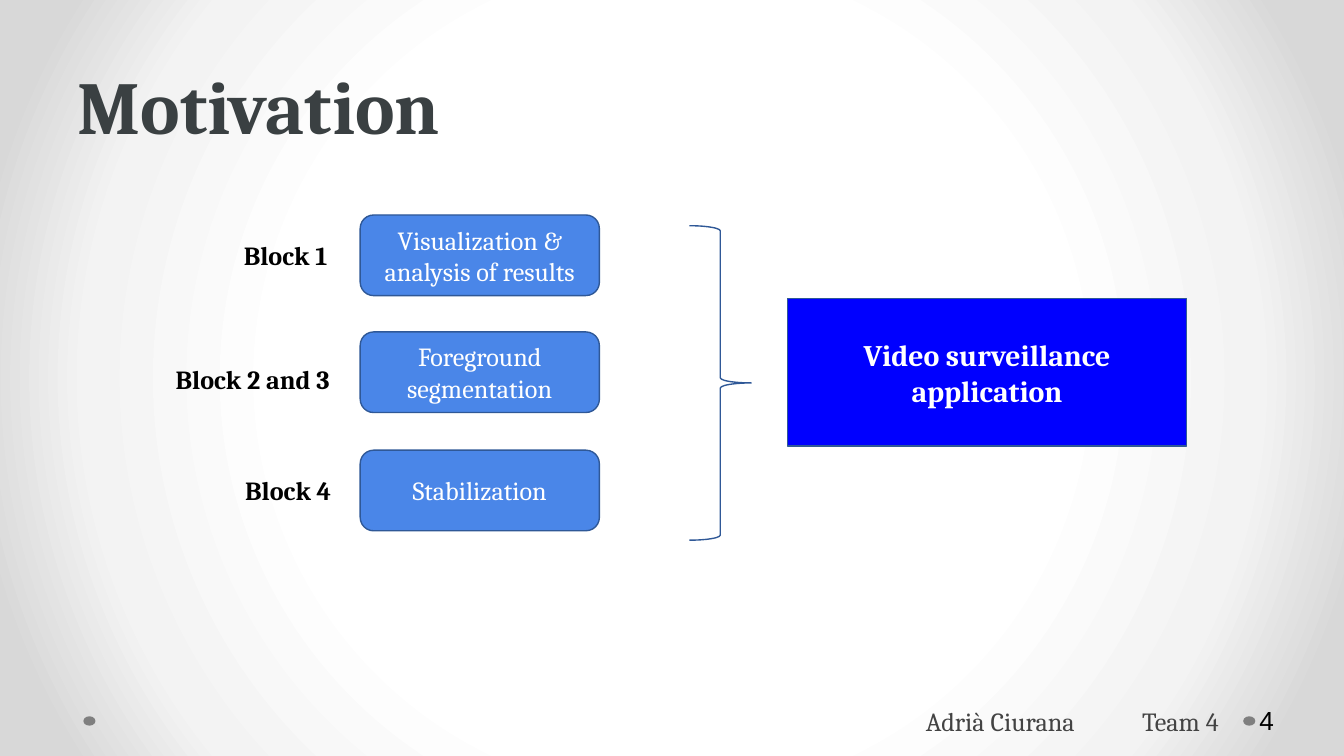
from lxml.etree import SubElement
from pptx import Presentation
from pptx.dml.color import RGBColor
from pptx.enum.shapes import MSO_SHAPE
from pptx.enum.text import MSO_ANCHOR, MSO_AUTO_SIZE, PP_ALIGN
from pptx.oxml.ns import qn
from pptx.util import Inches, Pt

BACKGROUND_STOPS = [(0, "FFFFFF"), (50, "FFFFFF"), (76, "F3F3F3"), (92, "D8D8D8"), (100, "D8D8D8")]
BLOCKS = [
    ("Block 1", (1.57, 1.75, 1.11, 0.3), "Visualization & analysis of results", 1.6),
    ("Block 2 and 3", (0.99, 2.67, 1.78, 0.3), "Foreground segmentation", 2.47),
    ("Block 4", (1.71, 3.5, 0.87, 0.3), "Stabilization", 3.35),
]


def color(hex_value):
    """Turn a hex string into a colour."""
    return RGBColor.from_string(hex_value)


def write_text(shape, text, size=14, font="Cambria", fill="000000", bold=False,
               align=PP_ALIGN.LEFT, anchor=MSO_ANCHOR.MIDDLE,
               insets=(0.1, 0.1, 0.1, 0.1), line_spacing=None):
    """Write one formatted paragraph into a shape."""
    frame = shape.text_frame
    frame.text = text
    frame.word_wrap = True
    frame.auto_size = MSO_AUTO_SIZE.NONE
    frame.vertical_anchor = anchor
    frame.margin_left, frame.margin_top, frame.margin_right, frame.margin_bottom = map(Inches, insets)
    paragraph = frame.paragraphs[0]
    paragraph.alignment = align
    paragraph.line_spacing = line_spacing
    run_font = paragraph.runs[0].font
    run_font.name, run_font.size, run_font.bold = font, Pt(size), bold
    run_font.color.rgb = color(fill)


class SlideBuilder:
    """Hold the style and the current slide."""

    line_color = "2F5897"
    line_width = 0.75

    def __init__(self, slide):
        """Keep the slide that receives the elements."""
        self.slide = slide

    def background(self, stops):
        """Paint a circular gradient from the slide centre."""
        fill = self.slide.background.fill
        fill.solid()
        properties = self.slide.element.find(".//" + qn("p:bgPr"))
        properties.remove(properties.find(qn("a:solidFill")))
        gradient = properties.makeelement(qn("a:gradFill"), {"rotWithShape": "1"})
        properties.insert(0, gradient)
        stop_list = SubElement(gradient, qn("a:gsLst"))
        for position, hex_value in stops:
            stop = SubElement(stop_list, qn("a:gs"), pos=str(position * 1000))
            SubElement(stop, qn("a:srgbClr"), val=hex_value)
        circle = SubElement(gradient, qn("a:path"), path="circle")
        SubElement(circle, qn("a:fillToRect"), l="50000", t="50000", r="50000", b="50000")

    def title(self, text, box, **text_format):
        """Place and format the title placeholder."""
        title = self.slide.shapes.title
        title.left, title.top, title.width, title.height = map(Inches, box)
        write_text(title, text, **text_format)

    def text(self, text, box, **text_format):
        """Add a text box."""
        write_text(self.slide.shapes.add_textbox(*map(Inches, box)), text, **text_format)

    def shape(self, kind, box, fill=None, outlined=True):
        """Add a preset shape in the slide style."""
        shape = self.slide.shapes.add_shape(kind, *map(Inches, box))
        shape.shadow.inherit = False
        if fill:
            shape.fill.solid()
            shape.fill.fore_color.rgb = color(fill)
        else:
            shape.fill.background()
        if outlined:
            shape.line.color.rgb = color(self.line_color)
            shape.line.width = Pt(self.line_width)
        else:
            shape.line.fill.background()
        return shape


def main():
    """Build the motivation slide."""
    presentation = Presentation()
    presentation.slide_width = Inches(10)
    presentation.slide_height = presentation.slide_width * 9 // 16
    builder = SlideBuilder(presentation.slides.add_slide(presentation.slide_layouts[5]))
    builder.background(BACKGROUND_STOPS)

    for dot_left in (9.25, 0.62):
        builder.shape(MSO_SHAPE.OVAL, (dot_left, 5.33, 0.09, 0.07), "7F7F7F", outlined=False)
    builder.title("Motivation", (0.48, 0.6, 7.71, 0.56), size=40, fill="3A4042", bold=True,
                  anchor=MSO_ANCHOR.BOTTOM, insets=(0.1, 0.05, 0.1, 0.05), line_spacing=1.45)

    for label, label_box, task, block_top in BLOCKS:
        block = builder.shape(MSO_SHAPE.ROUNDED_RECTANGLE, (2.68, block_top, 1.78, 0.6), "4A86E8")
        write_text(block, task, fill="FFFFFF", align=PP_ALIGN.CENTER)
        builder.text(label, label_box, bold=True, align=PP_ALIGN.CENTER)

    builder.shape(MSO_SHAPE.RIGHT_BRACE, (5.13, 1.68, 0.46, 2.34))
    application = builder.shape(MSO_SHAPE.RECTANGLE, (5.86, 2.22, 2.97, 1.1), "0000FF")
    write_text(application, "Video surveillance application", size=16, fill="FFFFFF",
               bold=True, align=PP_ALIGN.CENTER)

    for text, left, width in (("Adrià Ciurana", 6.79, 1.61), ("Team 4", 8.4, 0.94)):
        builder.text(text, (left, 5.15, width, 0.42), fill="434343", anchor=MSO_ANCHOR.TOP)
    builder.text("4", (9.34, 5.21, 0.61, 0.3), font="Arial", insets=(0.03, 0.05, 0.05, 0.05))
    presentation.save("out.pptx")


if __name__ == "__main__":
    main()
